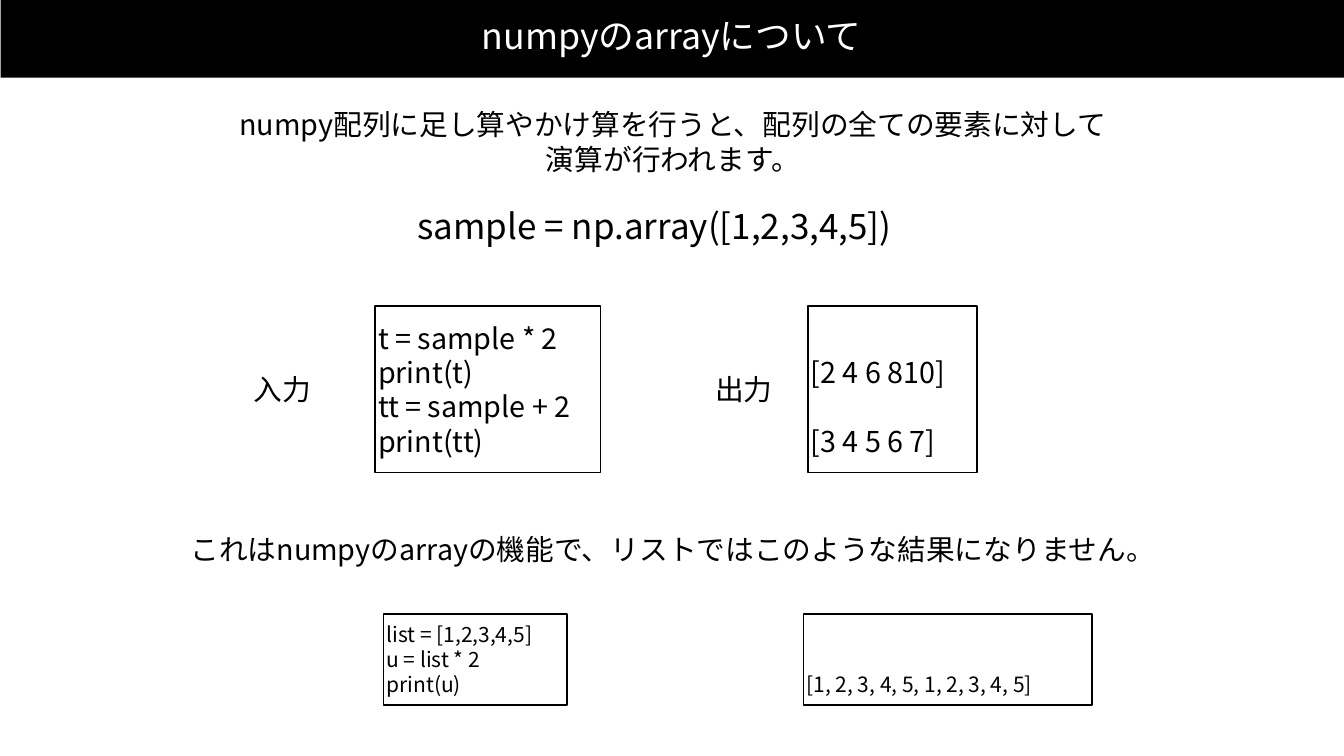
import pptx
import pptx.dml.color
import pptx.enum.shapes
import pptx.enum.text
import pptx.util
from lxml import etree
from pptx.oxml.ns import qn

Pt = pptx.util.Pt
ALIGN = pptx.enum.text.PP_ALIGN
ANCHOR = pptx.enum.text.MSO_ANCHOR
RECTANGLE = pptx.enum.shapes.MSO_SHAPE.RECTANGLE

BLACK = pptx.dml.color.RGBColor(0, 0, 0)
WHITE = pptx.dml.color.RGBColor(255, 255, 255)
FONT = "Noto Sans CJK JP"
INSET = 4
BODY = 41
SMALL = 30


class SlideBuilder:
    def __init__(self, slide):
        self.slide = slide

    def fill_text(self, sp, lines, size, color=BLACK, align=ALIGN.LEFT,
                  anchor=ANCHOR.MIDDLE, bottom=INSET, gap=0):
        tf = sp.text_frame
        tf.word_wrap = True
        tf.vertical_anchor = anchor
        tf.margin_left = tf.margin_right = tf.margin_top = Pt(INSET)
        tf.margin_bottom = Pt(bottom)
        for i, line in enumerate(lines):
            p = tf.add_paragraph() if i else tf.paragraphs[0]
            p.add_run().text = line
            p.alignment = align
            if i and gap:
                p.space_before = Pt(gap)
            p.font.size = Pt(size)
            p.font.color.rgb = color
            p.font.name = FONT
            props = p._p.pPr.find(qn("a:defRPr"))
            etree.SubElement(props, qn("a:ea")).set("typeface", FONT)

    def rect(self, left, top, width, height):
        sp = self.slide.shapes.add_shape(
            RECTANGLE, Pt(left), Pt(top), Pt(width), Pt(height))
        sp.shadow.inherit = False
        return sp

    def band(self, left, top, width, height):
        sp = self.rect(left, top, width, height)
        sp.fill.solid()
        sp.fill.fore_color.rgb = BLACK
        sp.line.fill.background()
        return sp

    def code_box(self, left, top, width, height, lines, size, **style):
        sp = self.rect(left, top, width, height)
        sp.fill.background()
        sp.line.color.rgb = BLACK
        sp.line.width = Pt(2)
        self.fill_text(sp, lines, size, **style)

    def text(self, left, top, width, height, lines, size=BODY, align=ALIGN.CENTER):
        sp = self.slide.shapes.add_textbox(Pt(left), Pt(top), Pt(width), Pt(height))
        self.fill_text(sp, lines, size, align=align)


def main():
    prs = pptx.Presentation()
    prs.slide_width = Pt(1920)
    prs.slide_height = Pt(1080)
    s = SlideBuilder(prs.slides.add_slide(prs.slide_layouts[6]))

    s.band(1, 0, 1919, 111)
    title = s.band(585, 20, 749, 60)
    s.fill_text(title, ["numpyのarrayについて"], 51, WHITE, ALIGN.CENTER)

    s.text(336, 146, 1251, 112,
           ["numpy配列に足し算やかけ算を行うと、配列の全ての要素に対して",
            "演算が行われます。"])
    s.text(592, 293, 737, 58, ["sample = np.array([1,2,3,4,5])"], 50, ALIGN.LEFT)

    s.code_box(536, 437, 322, 238,
               ["t = sample * 2", "print(t)", "tt = sample + 2", "print(tt)"], BODY)
    s.code_box(1154, 437, 242, 238, ["[2 4 6 810]", "[3 4 5 6 7]"], BODY,
               anchor=ANCHOR.BOTTOM, bottom=21, gap=49)
    for left, label in ((358, "入力"), (1017, "出力")):
        s.text(left, 531, 91, 50, [label])

    s.text(263, 760, 1397, 50,
           ["これはnumpyのarrayの機能で、リストではこのような結果になりません。"])

    s.code_box(548, 877, 262, 130,
               ["list = [1,2,3,4,5]", "u = list * 2", "print(u)"], SMALL)
    s.code_box(1148, 877, 412, 130, ["[1, 2, 3, 4, 5, 1, 2, 3, 4, 5]"], SMALL,
               anchor=ANCHOR.BOTTOM, bottom=11)

    prs.save("out.pptx")


if __name__ == "__main__":
    main()
